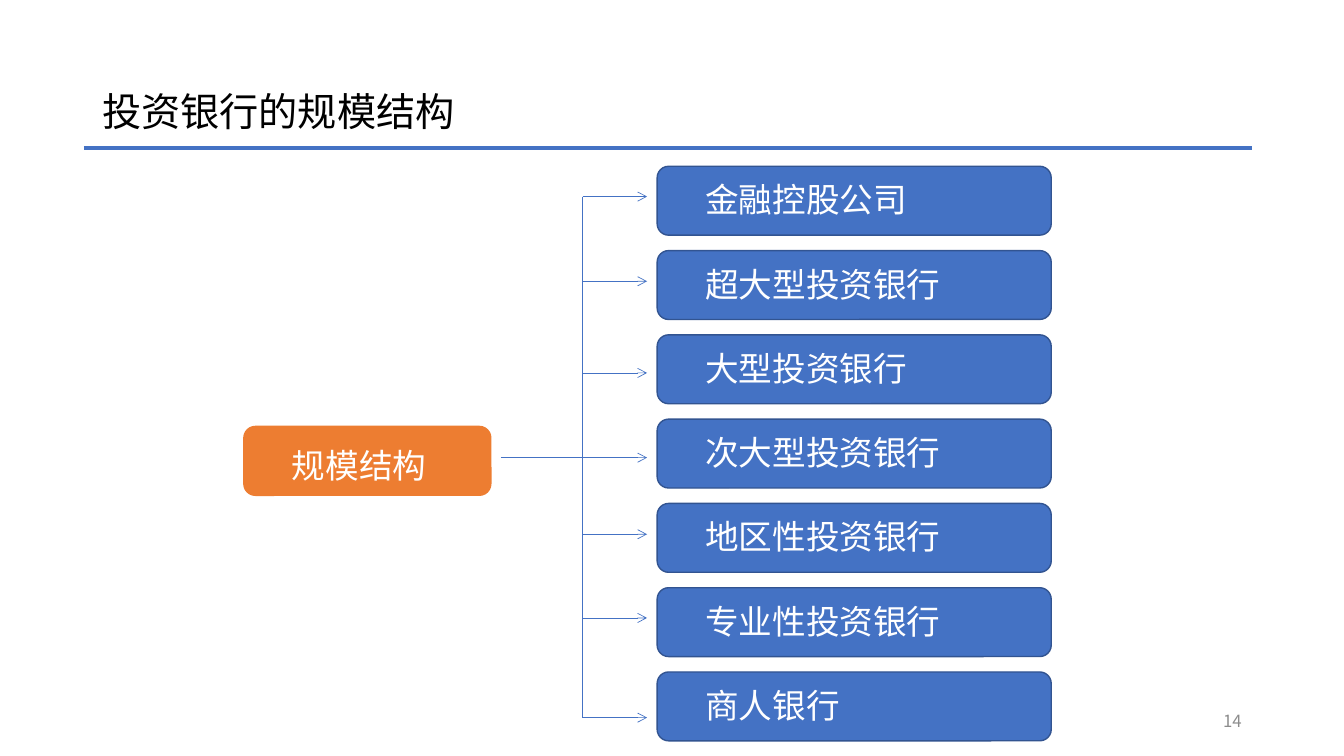
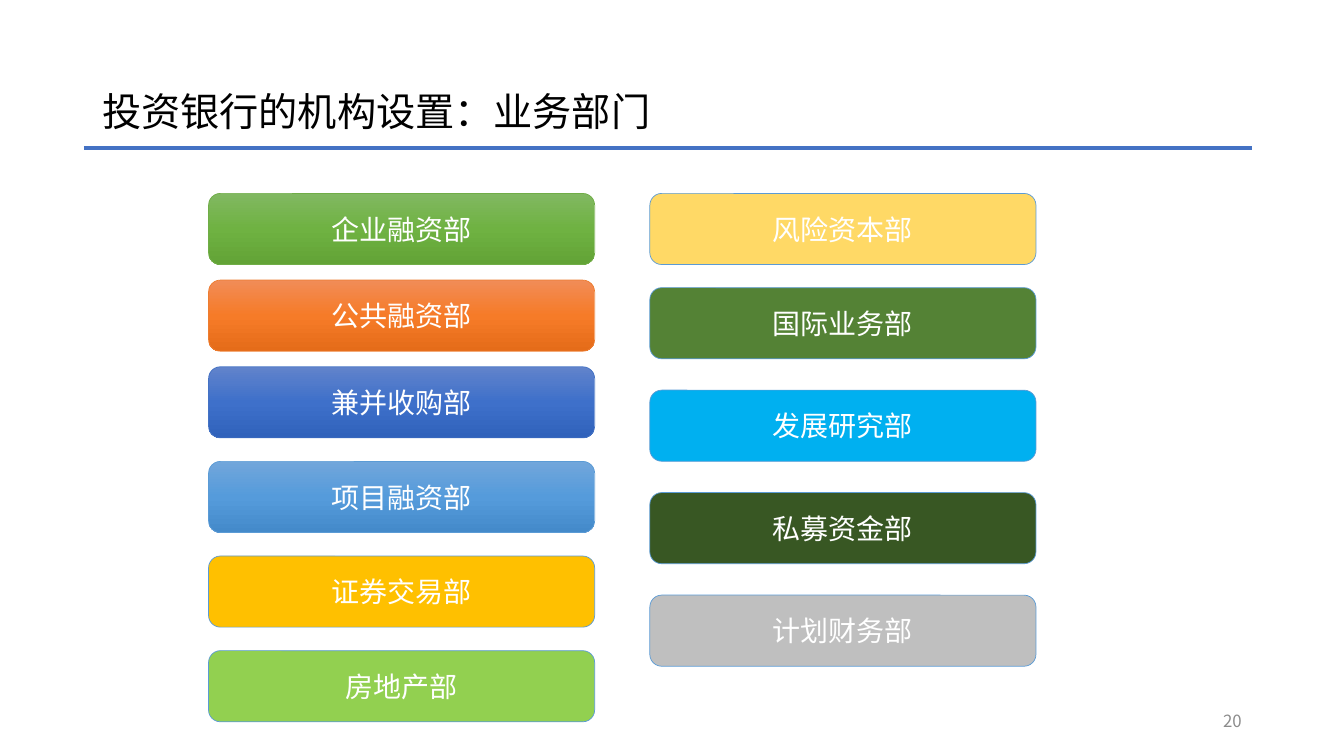
import itertools

import lxml.etree
import pptx
import pptx.dml.color
import pptx.enum.shapes
import pptx.enum.text
import pptx.oxml.ns
import pptx.util

Pt = pptx.util.Pt
RGBColor = pptx.dml.color.RGBColor
ALIGN = pptx.enum.text.PP_ALIGN
MIDDLE = pptx.enum.text.MSO_ANCHOR.MIDDLE
ROUNDED = pptx.enum.shapes.MSO_SHAPE.ROUNDED_RECTANGLE
STRAIGHT = pptx.enum.shapes.MSO_CONNECTOR.STRAIGHT
qn = pptx.oxml.ns.qn

FONT = "Noto Sans CJK SC"
BLACK = RGBColor(0x00, 0x00, 0x00)
WHITE = RGBColor(0xFF, 0xFF, 0xFF)
PAGE_GRAY = RGBColor(0x8C, 0x8C, 0x8C)
BLUE = RGBColor(0x44, 0x72, 0xC4)
DARK_BLUE = RGBColor(0x32, 0x54, 0x91)
ORANGE = RGBColor(0xED, 0x7D, 0x31)
GREEN = RGBColor(0x70, 0xAD, 0x47)
SKY = RGBColor(0x5B, 0x9B, 0xD5)
GOLD = RGBColor(0xFF, 0xC0, 0x00)
LIME = RGBColor(0x92, 0xD0, 0x50)
PALE_GOLD = RGBColor(0xFF, 0xD9, 0x66)
MOSS = RGBColor(0x54, 0x82, 0x35)
CYAN = RGBColor(0x00, 0xB0, 0xF0)
FOREST = RGBColor(0x38, 0x57, 0x23)
SILVER = RGBColor(0xBF, 0xBF, 0xBF)
GREEN_SHADES = (RGBColor(0x81, 0xB8, 0x61), RGBColor(0x6F, 0xB2, 0x42), RGBColor(0x62, 0xA3, 0x36))
ORANGE_SHADES = (RGBColor(0xF1, 0x8C, 0x57), RGBColor(0xF6, 0x7B, 0x28), RGBColor(0xE5, 0x6C, 0x19))
BLUE_SHADES = (RGBColor(0x61, 0x83, 0xCB), RGBColor(0x3E, 0x70, 0xCA), RGBColor(0x30, 0x62, 0xBB))
SKY_SHADES = (RGBColor(0x71, 0xA6, 0xDB), RGBColor(0x55, 0x9B, 0xDB), RGBColor(0x44, 0x8A, 0xCA))

# Text and the height of its arrow below the top of the tree
SCALES = [
    ("金融控股公司", 21.6),
    ("超大型投资银行", 82.1),
    ("大型投资银行", 147.6),
    ("次大型投资银行", 208.1),
    ("地区性投资银行", 262.8),
    ("专业性投资银行", 322.6),
    ("商人银行", 393.8),
]

# Text, fill (one colour or three gradient shades), outline
LEFT_DEPARTMENTS = [
    ("企业融资部", GREEN_SHADES, GREEN),
    ("公共融资部", ORANGE_SHADES, ORANGE),
    ("兼并收购部", BLUE_SHADES, BLUE),
    ("项目融资部", SKY_SHADES, SKY),
    ("证券交易部", GOLD, SKY),
    ("房地产部", LIME, SKY),
]
RIGHT_DEPARTMENTS = [
    ("风险资本部", PALE_GOLD, SKY),
    ("国际业务部", MOSS, SKY),
    ("发展研究部", CYAN, SKY),
    ("私募资金部", FOREST, SKY),
    ("计划财务部", SILVER, SKY),
]


def write(shape, text, size=24, color=WHITE, align=ALIGN.LEFT, spacing=None,
          inset=7.2, top_inset=3.6):
    frame = shape.text_frame
    frame.word_wrap = True
    frame.vertical_anchor = MIDDLE
    frame.margin_left = Pt(inset)
    frame.margin_top = Pt(top_inset)
    paragraph = frame.paragraphs[0]
    paragraph.alignment = align
    paragraph.line_spacing = spacing
    run = paragraph.add_run()
    run.text = text
    run.font.name = FONT
    run.font.size = Pt(size)
    run.font.color.rgb = color
    east_asian = lxml.etree.SubElement(run._r.get_or_add_rPr(), qn("a:ea"))
    east_asian.set("typeface", FONT)


def text_box(slide, left, top, width, height, text, **text_format):
    box = slide.shapes.add_textbox(Pt(left), Pt(top), Pt(width), Pt(height))
    write(box, text, **text_format)


def fill_gradient(fill, shades):
    """Fill from top to bottom with evenly spaced shades."""
    fill.gradient()
    fill.gradient_angle = 270
    stops = fill._xPr.find(qn("a:gradFill")).find(qn("a:gsLst"))
    for old_stop in list(stops):
        stops.remove(old_stop)
    for index, shade in enumerate(shades):
        stop = lxml.etree.SubElement(stops, qn("a:gs"))
        stop.set("pos", str(index * 100000 // (len(shades) - 1)))
        lxml.etree.SubElement(stop, qn("a:srgbClr")).set("val", str(shade))


def card(slide, left, top, width, height, text, fill, outline, weight, **text_format):
    shape = slide.shapes.add_shape(ROUNDED, Pt(left), Pt(top), Pt(width), Pt(height))
    shape.shadow.inherit = False
    if isinstance(fill, RGBColor):
        shape.fill.solid()
        shape.fill.fore_color.rgb = fill
    else:
        fill_gradient(shape.fill, fill)
    shape.line.color.rgb = outline
    shape.line.width = Pt(weight)
    write(shape, text, **text_format)


def rule(slide, x1, y1, x2, y2, weight=0.5, arrow=False):
    line = slide.shapes.add_connector(STRAIGHT, Pt(x1), Pt(y1), Pt(x2), Pt(y2))
    line.line.color.rgb = BLUE
    line.line.width = Pt(weight)
    properties = line._element.spPr
    if arrow:
        tip = lxml.etree.SubElement(properties.find(qn("a:ln")), qn("a:tailEnd"))
        tip.set("type", "arrow")
    lxml.etree.SubElement(properties, qn("a:effectLst"))


def titled_slide(deck, title, number):
    slide = deck.slides.add_slide(deck.slide_layouts[6])
    text_box(slide, 66, 28.8, 828, 104.4, title, size=28, color=BLACK, spacing=0.9)
    rule(slide, 60, 105.8, 894, 105.8, weight=3)
    text_box(slide, 678, 500.4, 216, 28.8, str(number), size=12, color=PAGE_GRAY,
             align=ALIGN.RIGHT)
    return slide


def scale_tree(slide, left, top):
    """Place the root card, the trunk and one arrow and card for each scale."""
    card_height, pitch = 49.2, 60.2
    trunk = left + 242
    card(slide, left, top + 185.8, 176.4, card_height, "规模结构", ORANGE, ORANGE, 1,
         inset=32, top_inset=9.6)
    arrow_heights = [top + drop for _, drop in SCALES]
    rule(slide, trunk, arrow_heights[0], trunk, arrow_heights[-1])
    rule(slide, left + 183.6, top + 208.1, trunk, top + 208.1)
    for index, ((scale, _), y) in enumerate(zip(SCALES, arrow_heights)):
        card(slide, left + 295.2, top + index * pitch, 281.5, card_height, scale,
             BLUE, DARK_BLUE, 1, inset=32, top_inset=1.6)
        rule(slide, trunk, y, left + 288, y, arrow=True)


def department_column(slide, left, top, departments, gaps):
    """Stack department cards, with the given gaps between them."""
    height = 50.8
    tops = itertools.accumulate((height + gap for gap in gaps), initial=top)
    for (department, fill, outline), y in zip(departments, tops):
        card(slide, left, y, 275.8, height, department, fill, outline, 0.5,
             size=20, align=ALIGN.CENTER)


def main():
    deck = pptx.Presentation()
    deck.slide_width, deck.slide_height = Pt(960), Pt(540)

    scale_slide = titled_slide(deck, "投资银行的规模结构", 14)
    scale_tree(scale_slide, 174.2, 118.8)

    department_slide = titled_slide(deck, "投资银行的机构设置：业务部门", 20)
    department_column(department_slide, 149, 138.2, LEFT_DEPARTMENTS, [11.1] * 2 + [16.8] * 3)
    department_column(department_slide, 464.2, 138.2, RIGHT_DEPARTMENTS, [16.5] + [22.4] * 3)

    deck.save("out.pptx")


if __name__ == "__main__":
    main()
